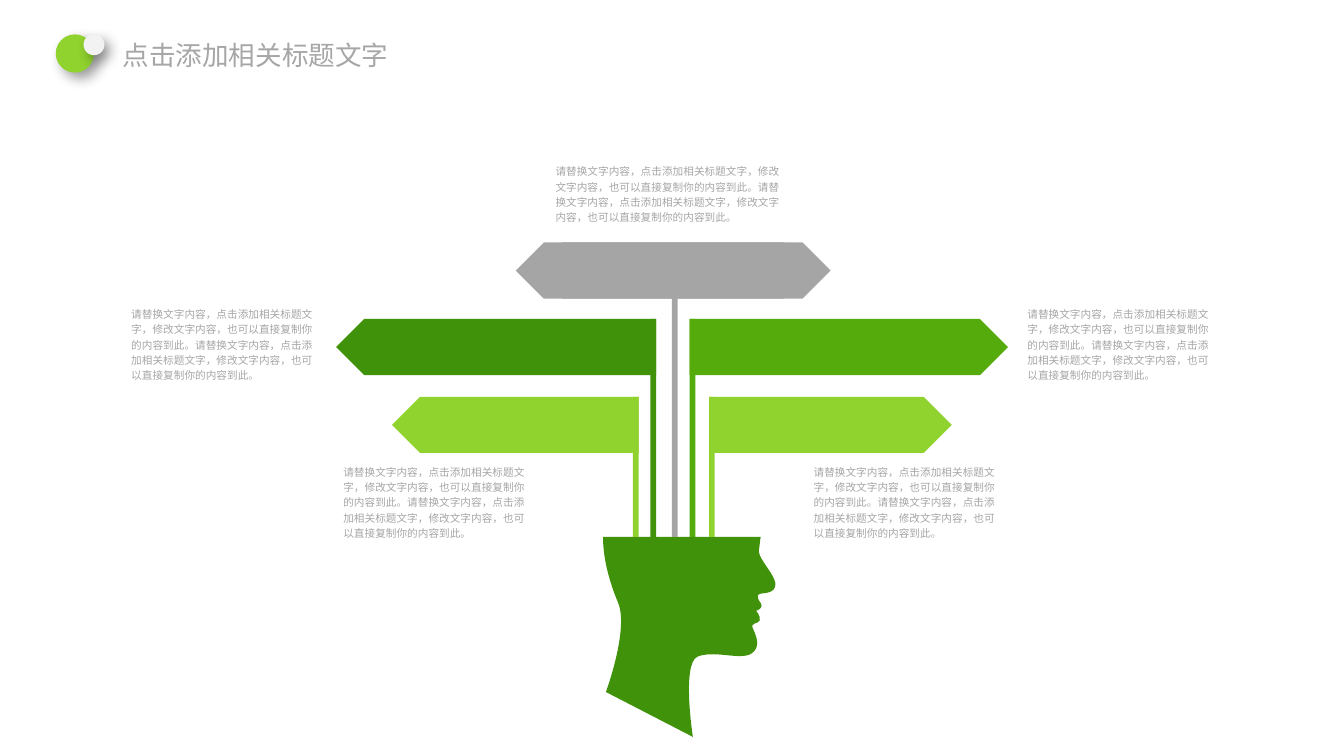
import pptx
import pptx.dml.color
import pptx.enum.shapes
import pptx.enum.text
import pptx.oxml
import pptx.oxml.ns
import pptx.util
from lxml import etree

Pt = pptx.util.Pt
RGBColor = pptx.dml.color.RGBColor
Shapes = pptx.enum.shapes.MSO_SHAPE
AutoSize = pptx.enum.text.MSO_AUTO_SIZE
qn = pptx.oxml.ns.qn

# Content
TITLE = "点击添加相关标题文字"
SENTENCE = "请替换文字内容，点击添加相关标题文字，修改文字内容，也可以直接复制你的内容到此。"
BODY = SENTENCE * 2

# Colours
DARK_GREEN = RGBColor(0x40, 0x92, 0x0A)
MID_GREEN = RGBColor(0x54, 0xAB, 0x0B)
LIGHT_GREEN = RGBColor(0x90, 0xD2, 0x2E)
GRAY = RGBColor(0xA5, 0xA5, 0xA5)
TEXT_GRAY = RGBColor(0xA6, 0xA6, 0xA6)
PALE_GRAY = RGBColor(0xF2, 0xF2, 0xF2)

# Layout, in points
SLIDE_SIZE = (1012.5, 569.5)
HEAD_TOP = 404.5
STEM_WIDTH = 4.3
SIGN_HEIGHT = 42.3
TOP_SIGN, UPPER_SIGNS, LOWER_SIGNS = 182.7, 240.3, 298.9
CENTRE_STEM = (506.2, 224)

# Signs: left, top, width, points left, colour
SIDE_SIGNS = [
    (253.2, UPPER_SIGNS, 241.1, True, DARK_GREEN),
    (519.6, UPPER_SIGNS, 239.8, False, MID_GREEN),
    (534.2, LOWER_SIGNS, 182.9, False, LIGHT_GREEN),
    (295.3, LOWER_SIGNS, 185.9, True, LIGHT_GREEN),
]
CENTRE_SIGNS = [
    (388.6, TOP_SIGN, 202.3, True, GRAY),
    (423.4, TOP_SIGN, 202.3, False, GRAY),
]

# Captions: left, top, width, height
CAPTIONS = [
    (418.5, 122.6, 175.5, 47),
    (98.9, 230.2, 141, 58.5),
    (774, 230.2, 141, 58.5),
    (258.7, 349, 141, 58.5),
    (613, 349, 141, 58.5),
]

# Title dots: left, top, diameter, colour
TITLE_DOTS = [(42, 25.9, 28.8, LIGHT_GREEN), (62.9, 25.8, 15.8, PALE_GRAY)]
TITLE_BOX = (85.2, 26, 241.2, 28.8)

# Head outline: one point is a straight line, three points are a curve
HEAD_START = (571.7, 414.7)
HEAD_SEGMENTS = [
    [(572.4, 411.1), (572.4, 407.5), (573.1, HEAD_TOP)],
    [(454.3, HEAD_TOP)],
    [(454.3, 421.2), (459.4, 439.2), (465.8, 454.3)],
    [(473.8, 474.5), (456.5, 521.3), (456.5, 521.3)],
    [(522, 555.1)],
    [(522, 555.1), (513.4, 499.7), (525.6, 494.6)],
    [(538.6, 489.6), (557.3, 497.5), (565.9, 492.5)],
    [(573.8, 487.4), (569.5, 478.8), (567.4, 473.8)],
    [(564.5, 468.7), (571.7, 470.2), (572.4, 467.3)],
    [(573.1, 463.7), (569.5, 460.1), (569.5, 460.1)],
    [(569.5, 460.1), (573.1, 459.4), (573.8, 456.5)],
    [(573.8, 453.6), (570.2, 452.2), (571, 448.6)],
    [(571.7, 445.7), (581.8, 448.6), (583.9, 442.1)],
    [(586.8, 435.6), (571, 421.2), HEAD_START],
]

SHADOW = (
    '<a:effectLst %s><a:outerShdw blurRad="%d" dist="%d" dir="2700000" algn="tl" '
    'rotWithShape="0"><a:srgbClr val="000000"><a:alpha val="40000"/></a:srgbClr>'
    "</a:outerShdw></a:effectLst>"
) % (pptx.oxml.ns.nsdecls("a"), Pt(10), Pt(6))


def set_values(target, values):
    for name, value in values.items():
        setattr(target, name, value)


def paint(shape, colour):
    shape.shadow.inherit = False
    shape.fill.solid()
    shape.fill.fore_color.rgb = colour
    shape.line.fill.background()


def add_block(slide, kind, box, colour):
    shape = slide.shapes.add_shape(kind, *map(Pt, box))
    paint(shape, colour)
    return shape


def add_sign(slide, left, top, width, points_left, colour):
    sign = add_block(slide, Shapes.PENTAGON, (left, top, width, SIGN_HEIGHT), colour)
    if points_left:
        sign._element.spPr.find(qn("a:xfrm")).set("flipH", "1")


def add_stem(slide, left, top, colour):
    add_block(slide, Shapes.RECTANGLE, (left, top, STEM_WIDTH, HEAD_TOP - top), colour)


def add_text(slide, box, text, size, frame_format, paragraph_format):
    frame = slide.shapes.add_textbox(*map(Pt, box)).text_frame
    set_values(frame, {"word_wrap": True, **frame_format})
    paragraph = frame.paragraphs[0]
    paragraph.text = text
    set_values(paragraph, paragraph_format)
    font = paragraph.runs[0].font
    set_values(font, {"name": "Arial", "size": Pt(size)})
    font.color.rgb = TEXT_GRAY


def add_head(slide):
    corners = [tuple(map(Pt, segment[-1])) for segment in HEAD_SEGMENTS]
    builder = slide.shapes.build_freeform(*map(Pt, HEAD_START))
    builder.add_line_segments(corners, close=True)
    head = builder.convert_to_shape()
    paint(head, DARK_GREEN)

    # Bend the sides that have control points
    sides = list(head._element.iter(qn("a:lnTo")))
    for side, segment in zip(sides, HEAD_SEGMENTS):
        if len(segment) == 3:
            curve = etree.Element(qn("a:cubicBezTo"))
            for x, y in segment:
                point = etree.SubElement(curve, qn("a:pt"))
                point.set("x", str(Pt(x) - head.left))
                point.set("y", str(Pt(y) - head.top))
            side.getparent().replace(side, curve)


def main():
    presentation = pptx.Presentation()
    width, height = map(Pt, SLIDE_SIZE)
    set_values(presentation, {"slide_width": width, "slide_height": height})
    slide = presentation.slides.add_slide(presentation.slide_layouts[6])

    # Head, stems and signs
    add_head(slide)
    for left, top, width, points_left, colour in SIDE_SIGNS:
        stem_left = left + width - STEM_WIDTH if points_left else left
        add_stem(slide, stem_left, top, colour)
    add_stem(slide, *CENTRE_STEM, GRAY)
    for sign in SIDE_SIGNS + CENTRE_SIGNS:
        add_sign(slide, *sign)

    # Captions
    margins = ("margin_left", "margin_top", "margin_right", "margin_bottom")
    caption_frame = {"auto_size": AutoSize.SHAPE_TO_FIT_TEXT, **dict.fromkeys(margins, 0)}
    for box in CAPTIONS:
        add_text(slide, box, BODY, 8, caption_frame, {"line_spacing": 1.2})

    # Title with its two dots
    for left, top, diameter, colour in TITLE_DOTS:
        dot = add_block(slide, Shapes.OVAL, (left, top, diameter, diameter), colour)
        properties = dot._element.spPr
        properties.remove(properties.find(qn("a:effectLst")))
        properties.append(pptx.oxml.parse_xml(SHADOW))
    title_frame = {"auto_size": AutoSize.NONE}
    add_text(slide, TITLE_BOX, TITLE, 20, title_frame, {"space_after": Pt(6)})

    presentation.save("out.pptx")


if __name__ == "__main__":
    main()
